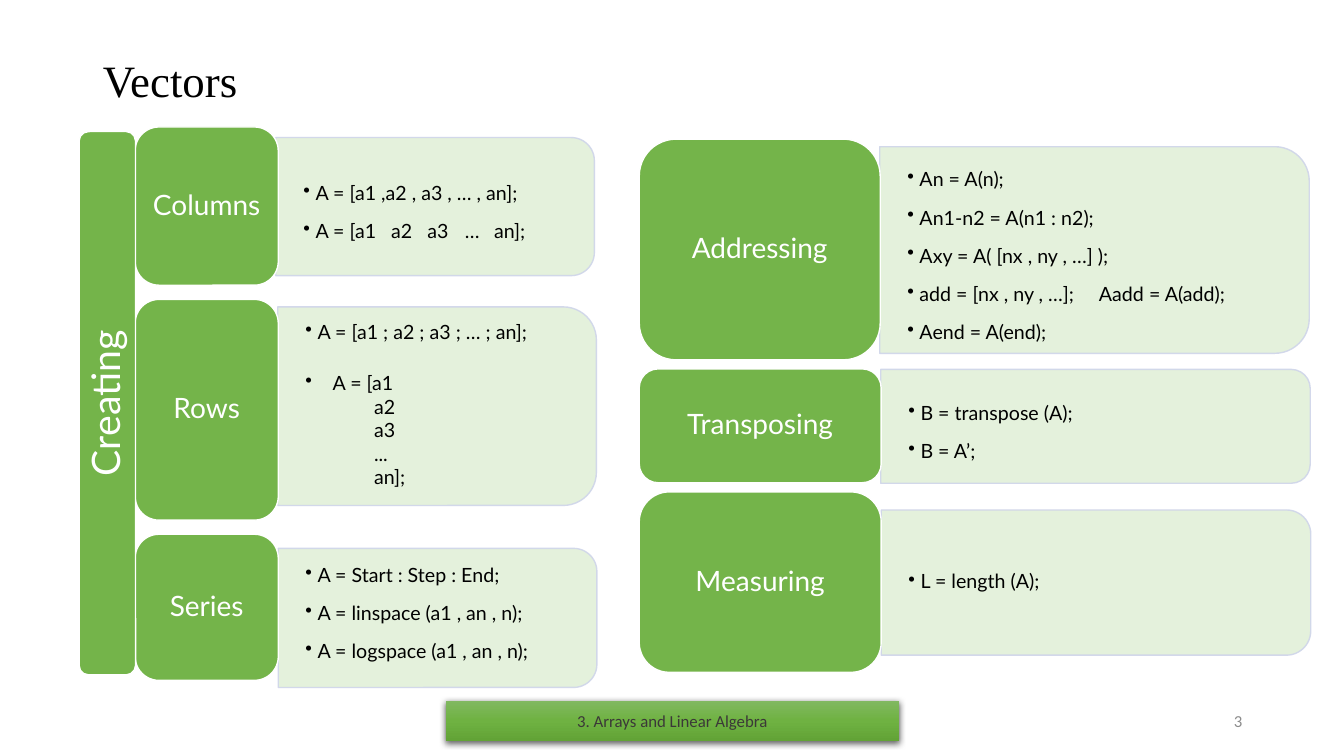
from copy import deepcopy
from typing import NamedTuple

from lxml.etree import SubElement
from pptx import Presentation
from pptx.dml.color import RGBColor
from pptx.enum.shapes import MSO_SHAPE
from pptx.enum.text import MSO_ANCHOR, PP_ALIGN
from pptx.oxml import parse_xml
from pptx.oxml.ns import nsdecls, qn
from pptx.util import Pt

SCALE = 9144
GREEN, PALE, EDGE, WHITE, BLACK = "74B44A", "E2F0D9", "CFD5EA", "FFFFFF", "000000"
LABEL_GAP = {"margin_left": 8, "margin_right": 8, "margin_top": 4, "margin_bottom": 4}
LIST_GAP = {"margin_left": 27, "margin_right": 27, "margin_top": 14, "margin_bottom": 14}


class Line(NamedTuple):
    text: str
    spacing: float = 1.5
    before: float = 0
    hang: int = 12
    tabs: tuple = ()


class Topic(NamedTuple):
    name: str
    label: tuple
    panel: tuple
    lines: list
    lift: int = 0


CREATING = [
    Topic("Columns", (134, 126, 142, 157), (274, 136, 316, 137), [
        Line("A = [a1 ,a2 , a3 , … , an];"),
        Line("A = [a1\ta2\ta3\t…\tan];", tabs=(87, 123, 160, 189)),
    ]),
    Topic("Rows", (134, 297, 142, 219), (276, 304, 316, 197), [
        Line("A = [a1 ; a2 ; a3 ; … ; an];", spacing=0.9),
        Line("A = [a1\v\ta2\v\ta3\v\t...\v\tan];", 1.0, 17.5, 27, (68,)),
    ]),
    Topic("Series", (134, 530, 142, 145), (276, 544, 316, 138), [
        Line("A = Start : Step : End;"),
        Line("A = linspace (a1 , an , n);"),
        Line("A = logspace (a1 , an , n);"),
    ], lift=11),
]
USING = [
    Topic("Addressing", (634, 138, 239, 219), (873, 145, 426, 205), [
        Line("An = A(n);"),
        Line("An1-n2 = A(n1 : n2);"),
        Line("Axy = A( [nx , ny , …] );"),
        Line("add = [nx , ny , …];\tAadd = A(add);", tabs=(190,)),
        Line("Aend = A(end);"),
    ]),
    Topic("Transposing", (634, 366, 240, 113), (874, 366, 426, 113), [
        Line("B = transpose (A);"),
        Line("B = A’;"),
    ]),
    Topic("Measuring", (634, 488, 240, 179), (874, 506, 426, 144), [
        Line("L = length (A);", spacing=0.9),
    ]),
]


def px(*lengths):
    return [length * SCALE for length in lengths]


def color(hex_value):
    return RGBColor.from_string(hex_value)


def assign(target, values):
    for name, value in values.items():
        setattr(target, name, value)


def set_frame(frame, gaps):
    assign(frame, {"word_wrap": True, "vertical_anchor": MSO_ANCHOR.MIDDLE})
    assign(frame, {name: px(gap)[0] for name, gap in gaps.items()})


def write(para, text, face, size, ink, layout):
    para.text = text
    assign(para, layout)
    for span in para.runs:
        assign(span.font, {"name": face, "size": Pt(size)})
        span.font.color.rgb = color(ink)
    for line_break in para._p.findall(qn("a:br")):
        line_break.append(deepcopy(para.runs[0]._r.rPr))


def add_block(shapes, kind, place, fill, edge, rotation=0):
    block = shapes.add_shape(kind, *px(*place))
    block.rotation = rotation
    block.shadow.inherit = False
    block.fill.solid()
    block.fill.fore_color.rgb = color(fill)
    block.line.color.rgb = color(edge)
    block.line.width = Pt(1)
    return block


def add_label(shapes, place, text, size, rotation=0):
    label = add_block(shapes, MSO_SHAPE.ROUNDED_RECTANGLE, place, GREEN, WHITE, rotation)
    set_frame(label.text_frame, LABEL_GAP)
    write(label.text_frame.paragraphs[0], text, "Lato", size, WHITE,
          {"alignment": PP_ALIGN.CENTER, "line_spacing": 0.9})


def add_panel(shapes, place):
    left, top, width, height = place
    inset = (width - height) // 2
    turned = (left + inset, top - inset, height, width)
    panel = add_block(shapes, MSO_SHAPE.ROUND_2_SAME_RECTANGLE, turned, PALE, EDGE, 90)
    for tint in panel._element.spPr.iter(qn("a:srgbClr")):
        SubElement(tint, qn("a:alpha"), val="90000")


def add_list(shapes, place, lines):
    box = shapes.add_textbox(*px(*place))
    frame = box.text_frame
    set_frame(frame, LIST_GAP)
    for index, line in enumerate(lines):
        para = frame.paragraphs[0] if index == 0 else frame.add_paragraph()
        properties = para._p.get_or_add_pPr()
        hang = px(line.hang)[0]
        properties.set("marL", str(hang))
        properties.set("indent", str(-hang))
        SubElement(properties, qn("a:buChar"), char="•")
        if line.tabs:
            stops = SubElement(properties, qn("a:tabLst"))
            for stop in px(*line.tabs):
                SubElement(stops, qn("a:tab"), pos=str(stop), algn="l")
        write(para, line.text, "Lato", 14, BLACK,
              {"line_spacing": line.spacing, "space_before": Pt(line.before),
               "space_after": Pt(2)})


def add_topics(shapes, topics):
    for topic in topics:
        left, top, width, height = topic.panel
        add_panel(shapes, topic.panel)
        add_list(shapes, (left, top - topic.lift, width, height), topic.lines)
        add_label(shapes, topic.label, topic.name, 20)


def add_title(page, text):
    title = page.shapes.title
    assign(title, dict(zip(("left", "top", "width", "height"), px(92, 10, 1150, 145))))
    set_frame(title.text_frame, {})
    write(title.text_frame.paragraphs[0], text, "Times New Roman", 32, BLACK,
          {"alignment": PP_ALIGN.LEFT, "line_spacing": 0.9})


def add_page_number(page, text):
    box = page.shapes.add_textbox(*px(942, 695, 300, 40))
    set_frame(box.text_frame, {})
    write(box.text_frame.paragraphs[0], text, "Calibri", 12, "8C8C8C",
          {"alignment": PP_ALIGN.RIGHT})


def add_chapter_bar(page, text):
    bar = add_block(page.shapes, MSO_SHAPE.RECTANGLE, (442, 695, 450, 40), GREEN, GREEN)
    bar.line.fill.background()
    properties = bar._element.spPr
    stops = "".join(f'<a:gs pos="{spot}"><a:srgbClr val="{tint}"/></a:gs>' for spot, tint in
                    ((0, "81B861"), (50000, "6FB242"), (100000, "62A336")))
    properties.replace(properties.find(qn("a:solidFill")), parse_xml(
        f'<a:gradFill {nsdecls("a")} rotWithShape="1"><a:gsLst>{stops}</a:gsLst>'
        '<a:lin ang="5400000" scaled="0"/></a:gradFill>'))
    shade = SubElement(properties.find(qn("a:effectLst")), qn("a:outerShdw"),
                       blurRad=str(Pt(4.5)), dist=str(Pt(1.5)), dir="5400000",
                       algn="ctr", rotWithShape="0")
    tint = SubElement(shade, qn("a:srgbClr"), val=BLACK)
    SubElement(tint, qn("a:alpha"), val="63000")
    set_frame(bar.text_frame, {})
    write(bar.text_frame.paragraphs[0], text, "Calibri", 12, "3B3838",
          {"alignment": PP_ALIGN.CENTER})


def main():
    deck = Presentation()
    deck.slide_width, deck.slide_height = px(1333, 750)
    page = deck.slides.add_slide(deck.slide_layouts[5])
    add_title(page, "Vectors")
    add_page_number(page, "3")
    add_chapter_bar(page, "3. Arrays and Linear Algebra")
    add_topics(page.shapes.add_group_shape().shapes, USING)
    creating = page.shapes.add_group_shape().shapes
    add_topics(creating, CREATING)
    add_label(creating, (-163, 372, 539, 56), "Creating", 28, 270)
    deck.save("out.pptx")


if __name__ == "__main__":
    main()
